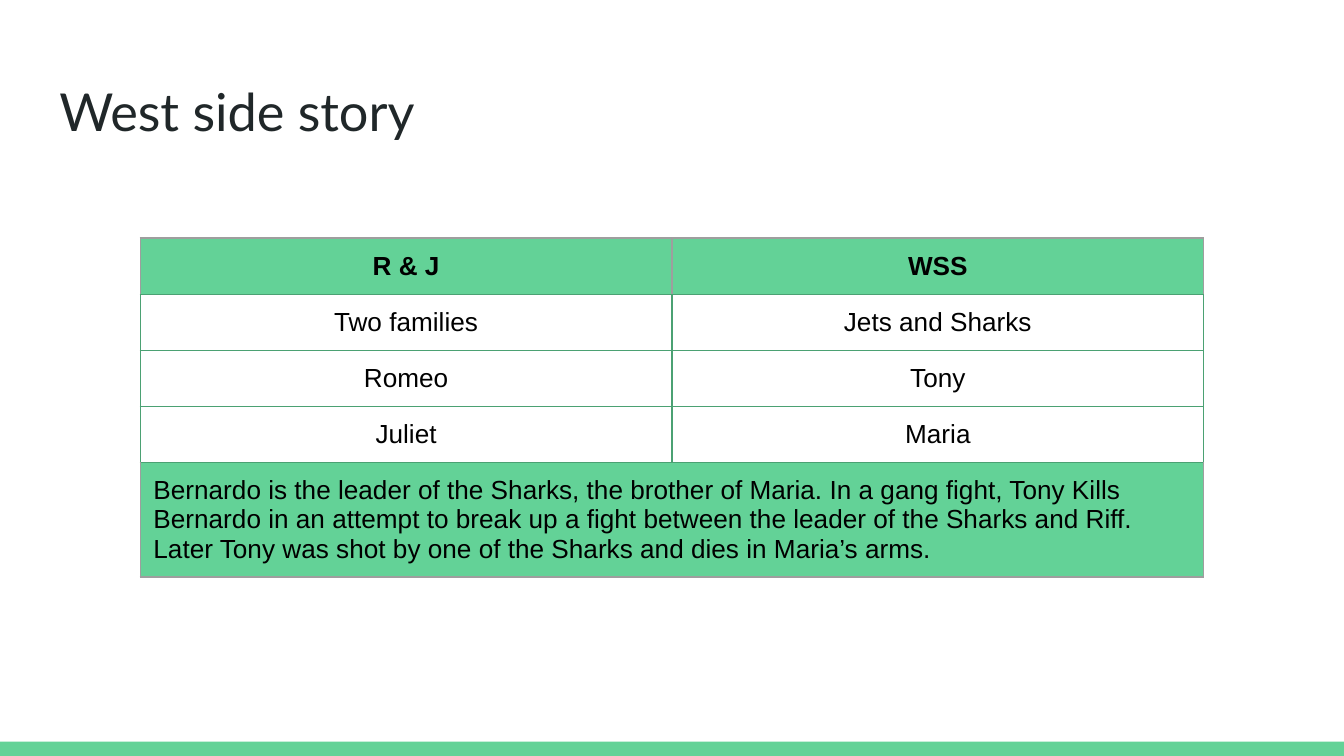
from lxml.etree import SubElement
from pptx import Presentation
from pptx.dml.color import RGBColor
from pptx.enum.shapes import MSO_SHAPE as Shape
from pptx.enum.text import MSO_ANCHOR as Anchor, PP_ALIGN as Align
from pptx.oxml.ns import qn
from pptx.util import Cm, Pt

GREEN = RGBColor(0x63, 0xD2, 0x97)
DARK_GREEN = RGBColor(0x4B, 0xA1, 0x73)
GRAY = RGBColor(0x9E, 0x9E, 0x9E)
INK = RGBColor(0x20, 0x27, 0x29)
BLACK = RGBColor(0, 0, 0)

PAGE_WIDTH, PAGE_HEIGHT = Cm(25.4), Cm(14.29)
INSET = Cm(0.25)
BORDER_WIDTH = Pt(0.75)

PAIRS = [
    ("R & J", "WSS"),
    ("Two families", "Jets and Sharks"),
    ("Romeo", "Tony"),
    ("Juliet", "Maria"),
]
SUMMARY = (
    "Bernardo is the leader of the Sharks, the brother of Maria. "
    "In a gang fight, Tony Kills Bernardo in an attempt to break up a fight "
    "between the leader of the Sharks and Riff. Later Tony was shot by one of "
    "the Sharks and dies in Maria’s arms."
)


def write_text(frame, text, font="Arial", size=14, color=BLACK, bold=False,
               align=Align.LEFT):
    frame.word_wrap = True
    para = frame.paragraphs[0]
    para.alignment = align
    span = para.add_run()
    span.text = text
    span.font.name = font
    span.font.size = Pt(size)
    span.font.color.rgb = color
    span.font.bold = bold


def set_borders(cell, **colors):
    """Draw the cell's sides; the keywords are left, right, top and bottom."""
    properties = cell._tc.get_or_add_tcPr()
    for side in ("left", "right", "top", "bottom"):
        line = SubElement(properties, qn(f"a:ln{side[0].upper()}"),
                          w=str(BORDER_WIDTH))
        fill = SubElement(line, qn("a:solidFill"))
        SubElement(fill, qn("a:srgbClr"), val=str(colors[side]))


def style_cell(cell, is_header, is_summary):
    highlighted = is_header or is_summary
    sides = GRAY if highlighted else DARK_GREEN
    set_borders(cell, left=sides, right=sides,
                top=GRAY if is_header else DARK_GREEN,
                bottom=GRAY if is_summary else DARK_GREEN)
    if highlighted:
        cell.fill.solid()
        cell.fill.fore_color.rgb = GREEN
    else:
        cell.fill.background()
    cell.margin_left = cell.margin_right = INSET
    cell.margin_top = cell.margin_bottom = INSET


def add_footer_bar(page, left, top, width, height):
    bar = page.shapes.add_shape(Shape.RECTANGLE, left, top, width, height)
    bar.shadow.inherit = False
    bar.fill.solid()
    bar.fill.fore_color.rgb = GREEN
    bar.line.fill.background()


def place_title(page, left, top, width, height):
    title = page.shapes.title
    title.left, title.top, title.width, title.height = left, top, width, height
    frame = title.text_frame
    frame.margin_left = frame.margin_right = INSET
    frame.margin_top = frame.margin_bottom = INSET
    frame.vertical_anchor = Anchor.TOP
    write_text(frame, "West side story", font="Lato", size=28, color=INK)


def add_comparison_table(page, left, top, width, row_height):
    """Pair the two stories' characters above a summary across both columns."""
    row_count = len(PAIRS) + 1
    table = page.shapes.add_table(row_count, 2, left, top, width,
                                  row_height * row_count).table
    table.first_row = table.horz_banding = False
    for index in range(row_count):
        for column in range(2):
            style_cell(table.cell(index, column), is_header=index == 0,
                       is_summary=index == len(PAIRS))
    for index, pair in enumerate(PAIRS):
        for column, text in enumerate(pair):
            write_text(table.cell(index, column).text_frame, text,
                       bold=index == 0, align=Align.CENTER)
    summary = table.cell(len(PAIRS), 0)
    summary.merge(table.cell(len(PAIRS), 1))
    write_text(summary.text_frame, SUMMARY)


def main():
    deck = Presentation()
    deck.slide_width, deck.slide_height = PAGE_WIDTH, PAGE_HEIGHT
    page = deck.slides.add_slide(deck.slide_layouts[5])
    bar_height = Cm(0.27)
    add_footer_bar(page, 0, PAGE_HEIGHT - bar_height, PAGE_WIDTH, bar_height)
    place_title(page, Cm(0.87), Cm(1.24), Cm(23.67), Cm(1.6))
    add_comparison_table(page, Cm(2.65), Cm(4.5), Cm(20.1), Cm(1.06))
    deck.save("out.pptx")


if __name__ == "__main__":
    main()
